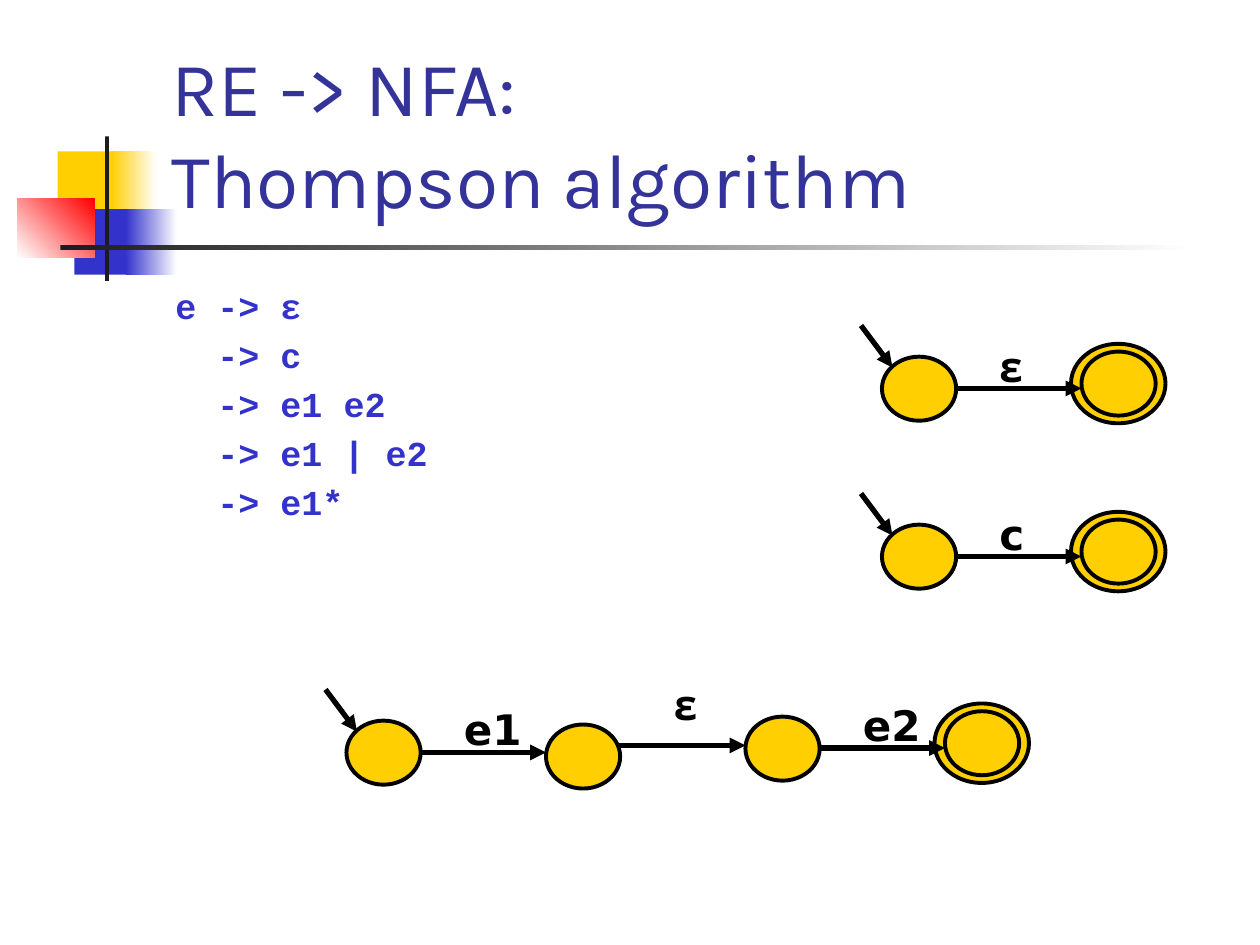
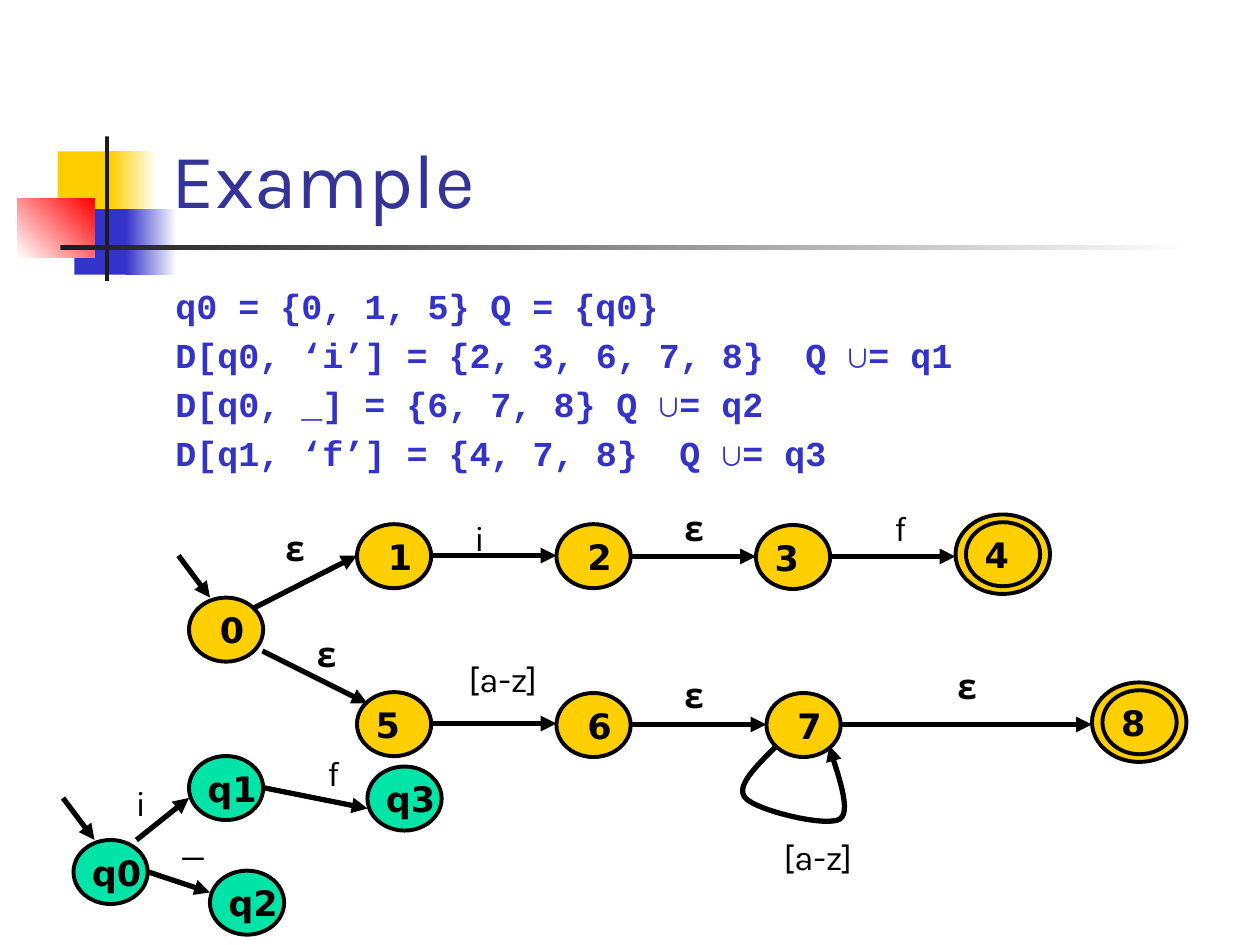
from lxml.etree import SubElement
from pptx import Presentation
from pptx.dml.color import RGBColor
from pptx.enum.shapes import MSO_CONNECTOR, MSO_SHAPE
from pptx.enum.text import MSO_ANCHOR, MSO_AUTO_SIZE, PP_ALIGN
from pptx.oxml.ns import qn
from pptx.util import Pt

YELLOW = RGBColor(0xFF, 0xCF, 0x01)
BLUE = RGBColor(0x33, 0x33, 0xCC)
RED = RGBColor(0xFF, 0x00, 0x00)
GREEN = RGBColor(0x00, 0xE4, 0xA8)
NAVY = RGBColor(0x33, 0x33, 0x99)
CHARCOAL = RGBColor(0x1C, 0x1C, 0x1C)
BLACK = RGBColor(0x00, 0x00, 0x00)
WHITE = RGBColor(0xFF, 0xFF, 0xFF)

KARLA, DEJAVU, COURIER = "Karla", "DejaVu Sans", "Courier New"

STATE_W, STATE_H = 42.4, 36.6
FINAL_W, FINAL_H = 54, 45.4
LABEL_EMS = {"ε": 0.44, "c": 0.6, "e1": 1.38, "e2": 1.38,
             "i": 0.25, "f": 0.32, "[a-z]": 2.09, "_": 0.54}

DECORATION = [
    ((33, 86.5, 34.5, 37.5), (YELLOW,), 0),
    ((63.5, 86.5, 26, 37.5), (YELLOW, WHITE), 0),
    ((42.5, 119.5, 33, 37.5), (BLUE,), 0),
    ((72, 119.5, 29, 37.5), (BLUE, WHITE), 0),
    ((10, 113.5, 44, 33.5), (WHITE, RED), 45),
    ((60, 78, 2.3, 82.5), (CHARCOAL,), 0),
    ((34.5, 140.2, 648, 2.5), (CHARCOAL, WHITE), 0),
]


def place(shape, x, y, w, h):
    shape.left, shape.top, shape.width, shape.height = Pt(x), Pt(y), Pt(w), Pt(h)


def style_font(font, name, size, color, bold=False):
    font.name, font.size, font.bold = name, Pt(size), bold
    font.color.rgb = color


def decorate_layout(layout, s):
    for i, (box, colors, angle) in enumerate(DECORATION):
        sp = s.shapes.add_shape(MSO_SHAPE.RECTANGLE, *map(Pt, box))
        sp.shadow.inherit = False
        sp.line.fill.background()
        if len(colors) == 1:
            sp.fill.solid()
            sp.fill.fore_color.rgb = colors[0]
        else:
            sp.fill.gradient()
            sp.fill.gradient_angle = angle
            for position, (stop, color) in enumerate(zip(sp.fill.gradient_stops, colors)):
                stop.position = position
                stop.color.rgb = color
        sp.element.nvSpPr.cNvPr.id = 100 + i
        layout.shapes.element.insert(2 + i, sp.element)


def add_title(s, text):
    title = s.shapes.title
    place(title, 91, 16.5, 613.5, 115)
    tf = title.text_frame
    tf.auto_size = MSO_AUTO_SIZE.NONE
    tf.vertical_anchor = MSO_ANCHOR.BOTTOM
    p = tf.paragraphs[0]
    p.text = text
    p.alignment = PP_ALIGN.LEFT
    for r in p.runs:
        style_font(r.font, KARLA, 44, NAVY)


def add_code(s, box, lines, tabs=()):
    body = s.placeholders[1]
    place(body, *box)
    tf = body.text_frame
    tf.auto_size = MSO_AUTO_SIZE.NONE
    tf.text = "\n".join(lines)
    for p in tf.paragraphs:
        pPr = p._p.get_or_add_pPr()
        pPr.set("marL", "0")
        pPr.set("indent", "0")
        SubElement(pPr, qn("a:buNone"))
        if tabs:
            tab_list = SubElement(pPr, qn("a:tabLst"))
            for position in tabs:
                SubElement(tab_list, qn("a:tab"), pos=str(Pt(position)), algn="l")
        for r in p.runs:
            style_font(r.font, COURIER, 20, BLUE, True)
    tf.paragraphs[0].space_before = Pt(0)


def add_ellipse(shapes, x, y, w, h, fill, text=""):
    sp = shapes.add_shape(MSO_SHAPE.OVAL, Pt(x), Pt(y), Pt(w), Pt(h))
    sp.shadow.inherit = False
    sp.fill.solid()
    sp.fill.fore_color.rgb = fill
    sp.line.color.rgb = BLACK
    sp.line.width = Pt(2.25)
    if text:
        tf = sp.text_frame
        tf.word_wrap = False
        tf.vertical_anchor = MSO_ANCHOR.MIDDLE
        tf.text = text
        p = tf.paragraphs[0]
        p.alignment = PP_ALIGN.CENTER
        style_font(p.runs[0].font, DEJAVU, 20, BLACK, True)


def add_final_state(s, x, y, fill, text):
    group = s.shapes.add_group_shape()
    add_ellipse(group.shapes, x, y, FINAL_W, FINAL_H, fill)
    add_ellipse(group.shapes, x + 6, y + 4.4, STATE_W, STATE_H, fill, text)


def style_arrow(shape):
    shape.line.color.rgb = BLACK
    shape.line.width = Pt(3)
    spPr = shape.element.spPr
    SubElement(spPr.find(qn("a:ln")), qn("a:tailEnd"), type="triangle")
    SubElement(spPr, qn("a:effectLst"))


def add_arrow(s, x1, y1, x2, y2):
    style_arrow(s.shapes.add_connector(MSO_CONNECTOR.STRAIGHT, Pt(x1), Pt(y1), Pt(x2), Pt(y2)))


def add_label(s, x, y, text, font, size):
    tb = s.shapes.add_textbox(Pt(x), Pt(y), Pt(14.4 + size * LABEL_EMS[text]), Pt(7.2 + size * 1.2))
    tf = tb.text_frame
    tf.word_wrap = False
    tf.auto_size = MSO_AUTO_SIZE.SHAPE_TO_FIT_TEXT
    tf.text = text
    epsilon = text == "ε"
    style_font(tf.paragraphs[0].runs[0].font, KARLA if epsilon else font, size, BLACK,
               epsilon or font == DEJAVU)


def curve_points(start, curves, steps=16):
    for c1, c2, end in curves:
        for i in range(1, steps + 1):
            t = i / steps
            u = 1 - t
            yield tuple(u**3 * a + 3 * u * u * t * b + 3 * u * t * t * c + t**3 * d
                        for a, b, c, d in zip(start, c1, c2, end))
        start = end


def add_loop(s, x, y):
    start = (0, 0)
    curves = [((-12, 12), (-24, 23.5), (-18, 30)),
              ((-12, 37), (28.5, 47), (36, 42)),
              ((44, 37), (31, 7), (30, 0))]
    builder = s.shapes.build_freeform(Pt(x), Pt(y))
    builder.add_line_segments([(Pt(x + dx), Pt(y + dy)) for dx, dy in curve_points(start, curves)],
                              close=False)
    loop = builder.convert_to_shape()
    loop.fill.background()
    style_arrow(loop)


def add_automaton(s, x, y, entry_y, states, finals, arrows, labels,
                  fill=YELLOW, font=KARLA, size=20):
    for dx, dy, text in states:
        add_ellipse(s.shapes, x + dx, y + dy, STATE_W, STATE_H, fill, text)
    for dx, dy, text in finals:
        add_final_state(s, x + dx, y + dy, fill, text)
    for x1, y1, x2, y2 in [(0, entry_y, 18, entry_y + 24), *arrows]:
        add_arrow(s, x + x1, y + y1, x + x2, y + y2)
    for dx, dy, text in labels:
        add_label(s, x + dx, y + dy, text, font, size)


def build_thompson(s):
    add_title(s, "RE -> NFA:\nThompson algorithm")
    add_code(s, (93, 159, 219, 183),
             ["e -> ε", "  -> c", "  -> e1 e2", "  -> e1 | e2", "  -> e1*"])
    for row, symbol in enumerate(("ε", "c")):
        add_automaton(s, 492, 186 + 96 * row, 0,
                      states=[(12, 17.8, "")],
                      finals=[(120, 10.5, "")],
                      arrows=[(54, 36, 126, 36)],
                      labels=[(72, 5, symbol)], font=DEJAVU, size=24)
    add_automaton(s, 186, 394, 0,
                  states=[(12, 17.8, ""), (126, 20, ""), (240, 15.5, "")],
                  finals=[(348, 8, "")],
                  arrows=[(54, 36, 126, 36), (168, 32, 240, 32), (282, 33.5, 354, 33.5)],
                  labels=[(72, 4.5, "e1"), (192, -10, "ε"), (300, 2, "e2")],
                  font=DEJAVU, size=24)


def build_example(s):
    add_title(s, "Example")
    add_code(s, (93, 159, 612, 324),
             ["q0 = {0, 1, 5}\tQ = {q0}",
              "D[q0, ‘i’] = {2, 3, 6, 7, 8}\tQ ∪= q1",
              "D[q0, _]\t= {6, 7, 8}\tQ ∪= q2",
              "D[q1, ‘f’] = {4, 7, 8}\tQ ∪= q3"], tabs=(132, 360))
    nfa_x, nfa_y = 102, 288
    add_automaton(s, nfa_x, nfa_y, 29.5,
                  states=[(6, 53.5, " 0"), (102, 11.5, " 1"), (216, 11.5, " 2"),
                          (330, 12, "3 "), (102, 107.5, "5 "), (216, 108, " 6"),
                          (336, 108, " 7")],
                  finals=[(444, 6, "4 "), (522, 102, "8 ")],
                  arrows=[(42, 60, 102, 29.5), (48, 84, 108, 114),
                          (144, 29.5, 216, 29.5), (258, 30, 330, 30), (372, 30, 444, 30),
                          (144, 125.5, 216, 125.5), (258, 126, 336, 126),
                          (378, 126, 522, 126)],
                  labels=[(54, 9.5, "ε"), (72, 70, "ε"), (162, 3.5, "i"), (282, -2, "ε"),
                          (402, -2, "f"), (158.5, 84, "[a-z]"), (282, 93.5, "ε"),
                          (438, 88, "ε"), (338.5, 186, "[a-z]")])
    add_loop(s, nfa_x + 342, nfa_y + 138)
    add_automaton(s, 36, 426, 30,
                  states=[(6, 54, " q0"), (72, 6, " q1"), (84, 71.5, " q2"), (174, 12, " q3")],
                  finals=[],
                  arrows=[(42, 54, 72, 30), (48, 72, 84, 84), (114, 24, 174, 36)],
                  labels=[(34.5, 17, "i"), (144, 0, "f"), (60, 42, "_")], fill=GREEN)


def main():
    prs = Presentation()
    prs.slide_width, prs.slide_height = Pt(720), Pt(540)
    layout = prs.slide_layouts[1]
    thompson = prs.slides.add_slide(layout)
    decorate_layout(layout, thompson)
    build_thompson(thompson)
    build_example(prs.slides.add_slide(layout))
    prs.save("out.pptx")


if __name__ == "__main__":
    main()
